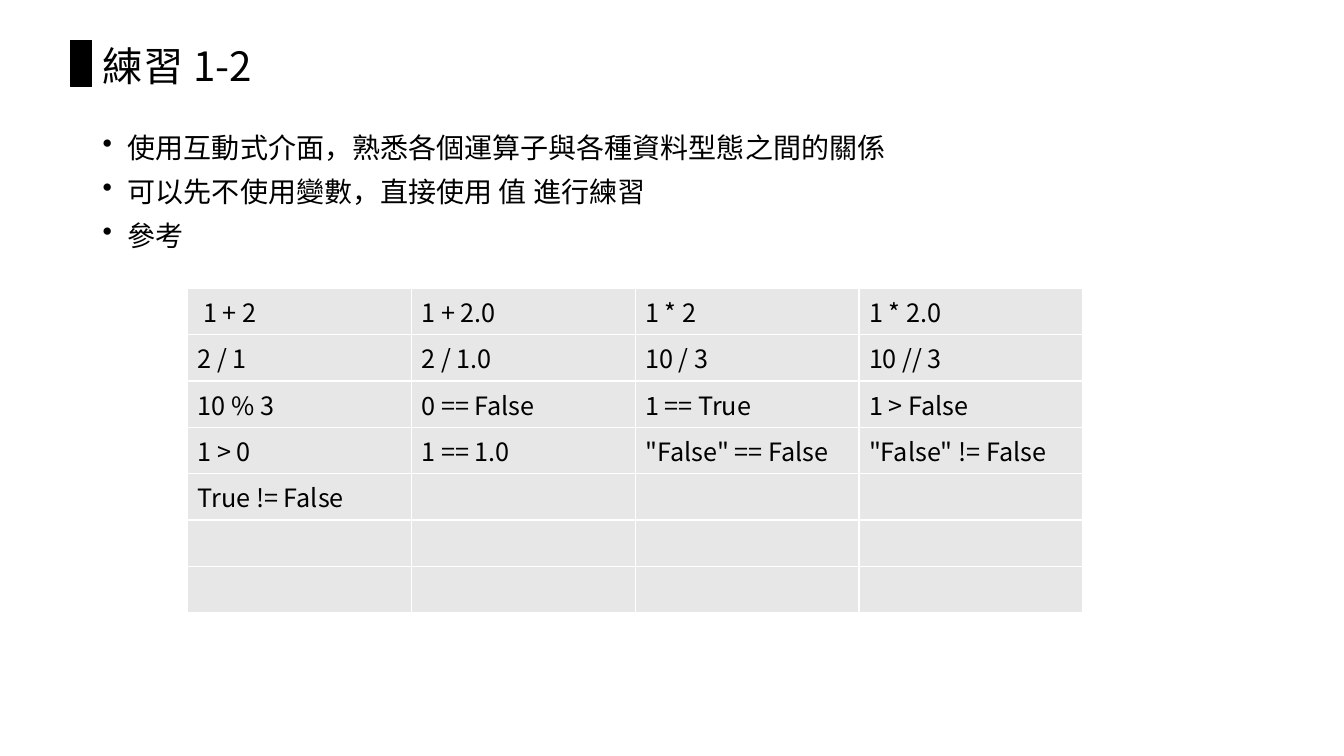
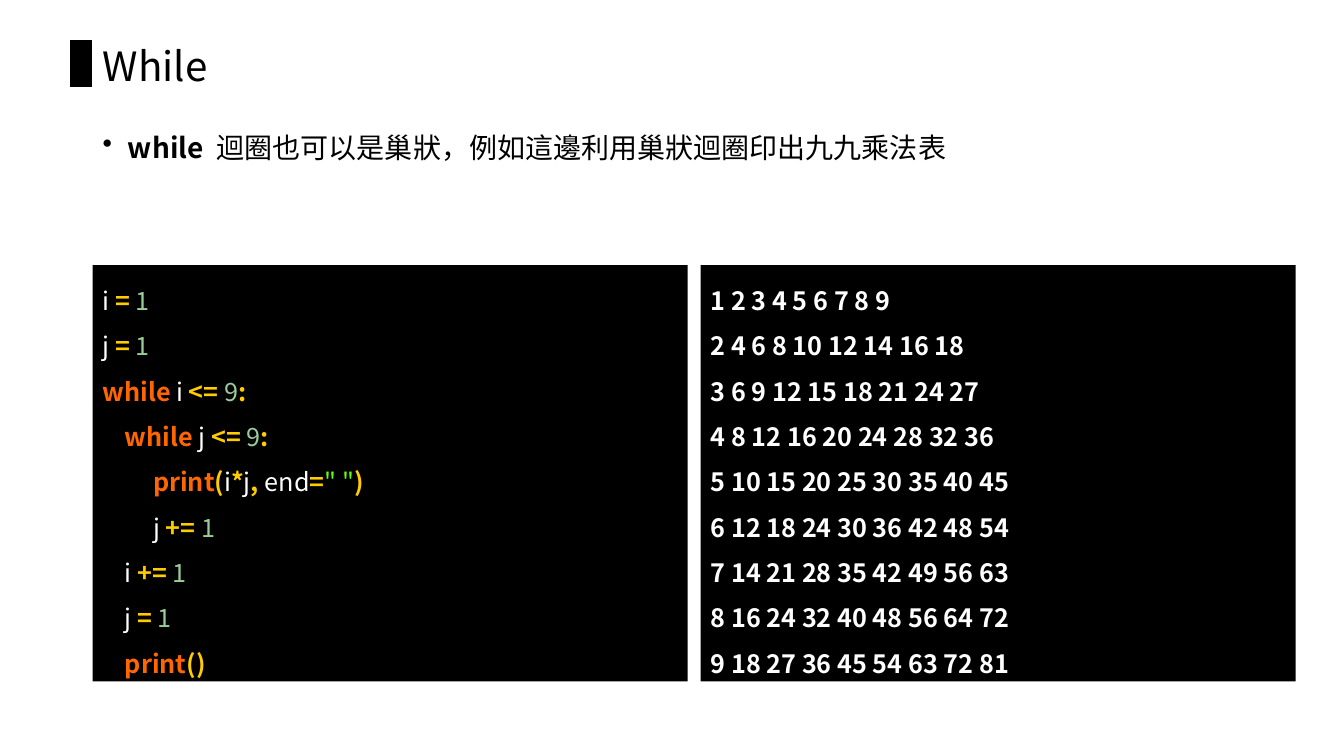
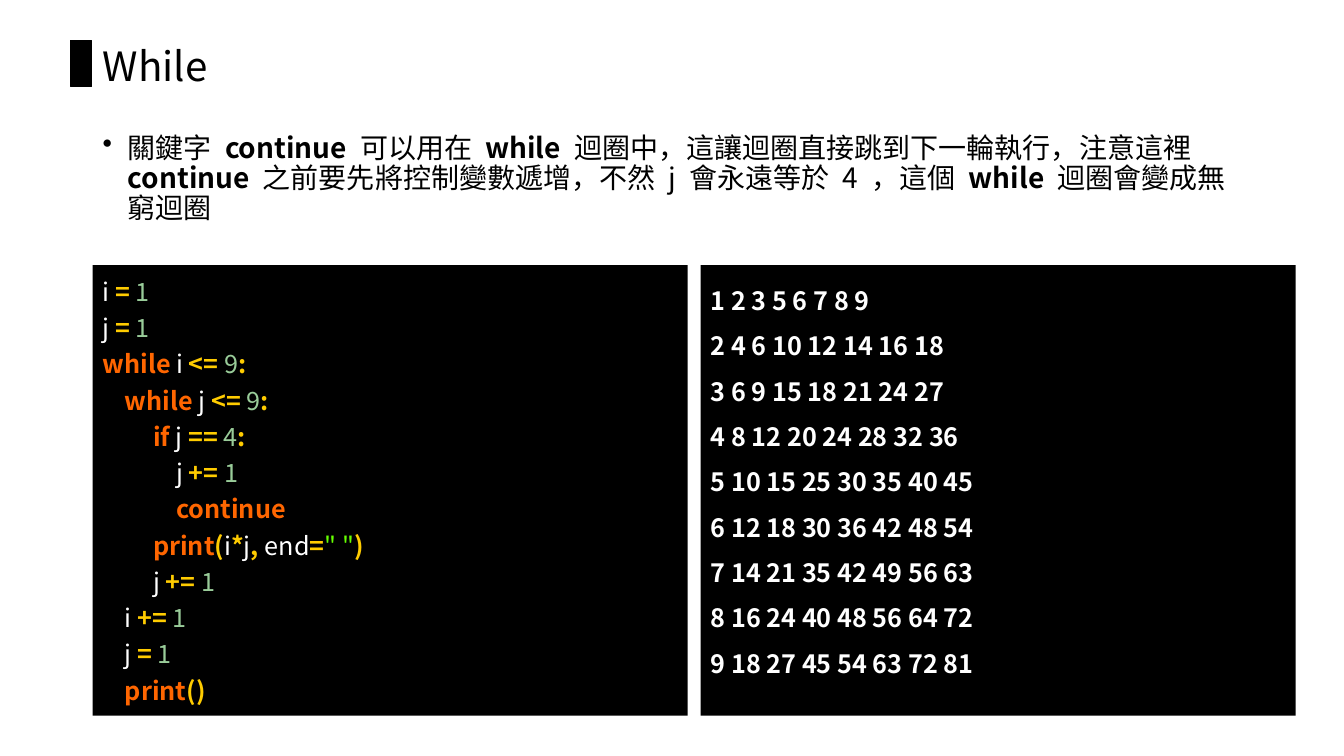
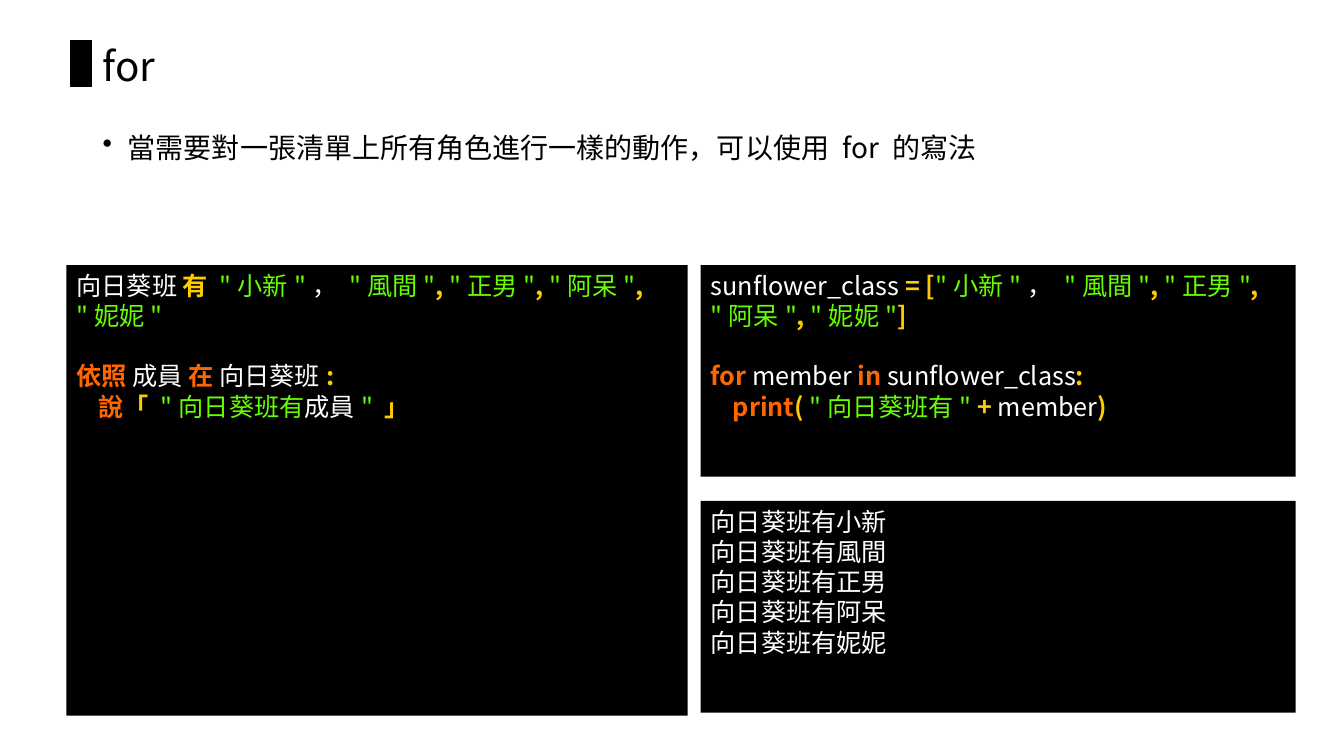
import lxml.etree
import pptx
import pptx.dml.color
import pptx.enum.shapes
import pptx.enum.text
import pptx.oxml.ns
import pptx.util

PX = 9144
FONT = "Noto Sans CJK TC"
BLACK, WHITE, GREY = "000000", "FFFFFF", "E7E7E7"
BODY_SIZE, CODE_SIZE, TITLE_SIZE = 20, 18, 28.8
BODY_LINE, CODE_LINE = 21.4, 21.6
INDENTS = (0, 22, 50, 73)
TOP, LEFT, RIGHT, HALF_WIDTH = 263, 92, 695, 590

# Each segment starts with its style letter; leading ">" marks indent a line.
STYLES = {
    "t": (BLACK, False),
    "b": (BLACK, True),
    "w": (WHITE, False),
    "r": (WHITE, True),
    "k": ("FF6600", True),
    "o": ("FFCC00", True),
    "n": ("99CC99", False),
    "s": ("66FF00", False),
}

EXPRESSIONS = (
    (" 1 + 2", "1 + 2.0", "1 * 2", "1 * 2.0"),
    ("2 / 1", "2 / 1.0", "10 / 3", "10 // 3"),
    ("10 % 3", "0 == False", "1 == True", "1 > False"),
    ("1 > 0", "1 == 1.0", '"False" == False', '"False" != False'),
    ("True != False",),
    (),
    (),
)

LOOP_HEAD = [
    "wi |o=|w |n1",
    "wj |o=|w |n1",
    "kwhile|w i |o<=|w |n9|o:",
    ">kwhile|w j |o<=|w |n9|o:",
]
SKIP_FOUR = [
    ">>kif|w j |o==|w |n4|o:",
    ">>>wj |o+=|w |n1",
    ">>>kcontinue",
]
LOOP_TAIL = [
    '>>kprint|o(|wi|o*|wj|o,|w end|o=|s" "|o)',
    ">>wj |o+=|w |n1",
    ">wi |o+=|w |n1",
    ">wj |o=|w |n1",
    ">kprint|o()",
]

MEMBERS = ("小新", "風間", "正男", "阿呆", "妮妮")
MEMBER_LIST = 's"小新"|w， |s"風間"|o,|w |s"正男"|o,|w |s"阿呆"|o,|w |s"妮妮"'
PSEUDOCODE = [
    "w向日葵班 |o有|w |" + MEMBER_LIST,
    "k依照|w 成員 |k在|w 向日葵班|o:",
    '>k說|o「|w |s"向日葵班有|w成員|s"|w |o」',
]
FOR_CODE = [
    "wsunflower_class |o=|w |o[|" + MEMBER_LIST + "|o]",
    "kfor|w member |kin|w sunflower_class|o:",
    '>kprint|o(|w |s"向日葵班有"|w |o+|w member|o)',
]


def px(*lengths):
    """Turn whole px lengths into EMU."""
    return [pptx.util.Emu(length * PX) for length in lengths]


def color(value):
    """Turn a hex string into a colour."""
    return pptx.dml.color.RGBColor.from_string(value)


def format_run(run, size, hex_color, bold=False):
    """Give a run its size, colour, weight and font for both scripts."""
    run.font.size = pptx.util.Pt(size)
    run.font.color.rgb = color(hex_color)
    run.font.bold = bold
    run.font.name = FONT
    east_asian = pptx.oxml.ns.qn("a:ea")
    lxml.etree.SubElement(run.font._element, east_asian, typeface=FONT)


def write_lines(frame, lines, size, line_height):
    """Write marked-up lines into a text frame, one paragraph each."""
    frame.word_wrap = True
    frame.vertical_anchor = pptx.enum.text.MSO_ANCHOR.TOP
    for number, line in enumerate(lines):
        paragraph = frame.add_paragraph() if number else frame.paragraphs[0]
        paragraph.alignment = pptx.enum.text.PP_ALIGN.LEFT
        paragraph.line_spacing = pptx.util.Pt(line_height)
        segments = line.lstrip(">")
        indent, = px(INDENTS[len(line) - len(segments)])
        paragraph._p.get_or_add_pPr().set("marL", str(indent))
        for segment in segments.split("|"):
            run = paragraph.add_run()
            run.text = segment[1:]
            format_run(run, size, *STYLES[segment[0]])


def add_block(slide, left, top, width, height):
    """Add a plain black rectangle."""
    block = slide.shapes.add_shape(
        pptx.enum.shapes.MSO_SHAPE.RECTANGLE, *px(left, top, width, height))
    block.shadow.inherit = False
    block.fill.solid()
    block.fill.fore_color.rgb = color(BLACK)
    block.line.fill.background()
    return block


def add_titled_slide(prs, heading):
    """Add a title-only slide with the black bar beside its title."""
    slide = prs.slides.add_slide(prs.slide_layouts[5])
    bar = add_block(slide, 70, 40, 21, 46)
    bar.line.color.rgb = color(BLACK)
    bar.line.width = pptx.util.Pt(1)
    title = slide.shapes.title
    title.left, title.top, title.width, title.height = px(92, 40, 1150, 56)
    frame = title.text_frame
    frame.text = heading
    frame.auto_size = pptx.enum.text.MSO_AUTO_SIZE.NONE
    frame.vertical_anchor = pptx.enum.text.MSO_ANCHOR.MIDDLE
    paragraph = frame.paragraphs[0]
    paragraph.alignment = pptx.enum.text.PP_ALIGN.LEFT
    paragraph.line_spacing = 0.9
    format_run(paragraph.runs[0], TITLE_SIZE, BLACK)
    return slide


def add_bullets(slide, lines):
    """Add the bulleted text below the title."""
    body = slide.shapes.add_textbox(*px(92, 128, 1150, 548))
    write_lines(body.text_frame, lines, BODY_SIZE, BODY_LINE)
    hanging, = px(25)
    for number, paragraph in enumerate(body.text_frame.paragraphs):
        paragraph.space_before = pptx.util.Pt(10 if number else 0)
        properties = paragraph._p.get_or_add_pPr()
        properties.set("marL", str(hanging))
        properties.set("indent", str(-hanging))
        lxml.etree.SubElement(properties, pptx.oxml.ns.qn("a:buChar"), char="•")


def add_console(slide, place, lines, spacing=1.0):
    """Add a black panel of code or output and return its paragraphs."""
    console = add_block(slide, *place)
    write_lines(console.text_frame, lines, CODE_SIZE, CODE_LINE * spacing)
    return console.text_frame.paragraphs


def add_expression_table(slide):
    """Add the grey table of expressions to try."""
    rows, columns = len(EXPRESSIONS), len(EXPRESSIONS[0])
    table = slide.shapes.add_table(
        rows, columns, *px(186, 286, 222 * columns, 46 * rows)).table
    table.first_row = False
    table.horz_banding = False
    for cell in table.iter_cells():
        cell.fill.solid()
        cell.fill.fore_color.rgb = color(GREY)
    for row, expressions in enumerate(EXPRESSIONS):
        for column, expression in enumerate(expressions):
            cell = table.cell(row, column)
            cell.text = expression
            format_run(cell.text_frame.paragraphs[0].runs[0], CODE_SIZE, BLACK)


def times_table(skipped=()):
    """Return the printed rows of the nine by nine table."""
    factors = [j for j in range(1, 10) if j not in skipped]
    return ["r" + " ".join(str(i * j) for j in factors) for i in range(1, 10)]


def add_while_slide(prs, bullet, code, spacing, output, height):
    """Add a while slide with code on the left and output on the right."""
    slide = add_titled_slide(prs, "While")
    add_bullets(slide, [bullet])
    add_console(slide, (LEFT, TOP, HALF_WIDTH, height), code, spacing)
    add_console(slide, (RIGHT, TOP, HALF_WIDTH, height), output, 1.5)


def add_exercise_slide(prs):
    """Add the exercise on operators and types."""
    slide = add_titled_slide(prs, "練習1-2")
    add_bullets(slide, [
        "t使用互動式介面，熟悉各個運算子與各種資料型態之間的關係",
        "t可以先不使用變數，直接使用 值 進行練習",
        "t參考",
    ])
    add_expression_table(slide)


def add_for_slide(prs):
    """Add the for slide with pseudocode, code and output."""
    slide = add_titled_slide(prs, "for")
    add_bullets(slide, ["t當需要對一張清單上所有角色進行一樣的動作，可以使用 for 的寫法"])
    listings = (
        ((66, TOP, 616, 447), PSEUDOCODE),
        ((RIGHT, TOP, HALF_WIDTH, 210), FOR_CODE),
    )
    for place, lines in listings:
        loop = add_console(slide, place, lines)[1]
        loop.space_before = pptx.util.Pt(CODE_LINE)
    greetings = ["w向日葵班有" + member for member in MEMBERS]
    add_console(slide, (RIGHT, 497, HALF_WIDTH, 210), greetings)


def main():
    """Build and save the four slides."""
    prs = pptx.Presentation()
    prs.slide_width, prs.slide_height = px(1333, 750)
    add_exercise_slide(prs)
    add_while_slide(
        prs, "bwhile|t 迴圈也可以是巢狀，例如這邊利用巢狀迴圈印出九九乘法表",
        LOOP_HEAD + LOOP_TAIL, 1.5, times_table(), 413)
    add_while_slide(
        prs,
        "t關鍵字 |bcontinue|t 可以用在 |bwhile"
        "|t 迴圈中，這讓迴圈直接跳到下一輪執行，注意這裡 |bcontinue"
        "|t 之前要先將控制變數遞增，不然 j 會永遠等於 4 ，這個 |bwhile"
        "|t 迴圈會變成無窮迴圈",
        LOOP_HEAD + SKIP_FOUR + LOOP_TAIL, 1.2, times_table(skipped=(4,)), 447)
    add_for_slide(prs)
    prs.save("out.pptx")


if __name__ == "__main__":
    main()
